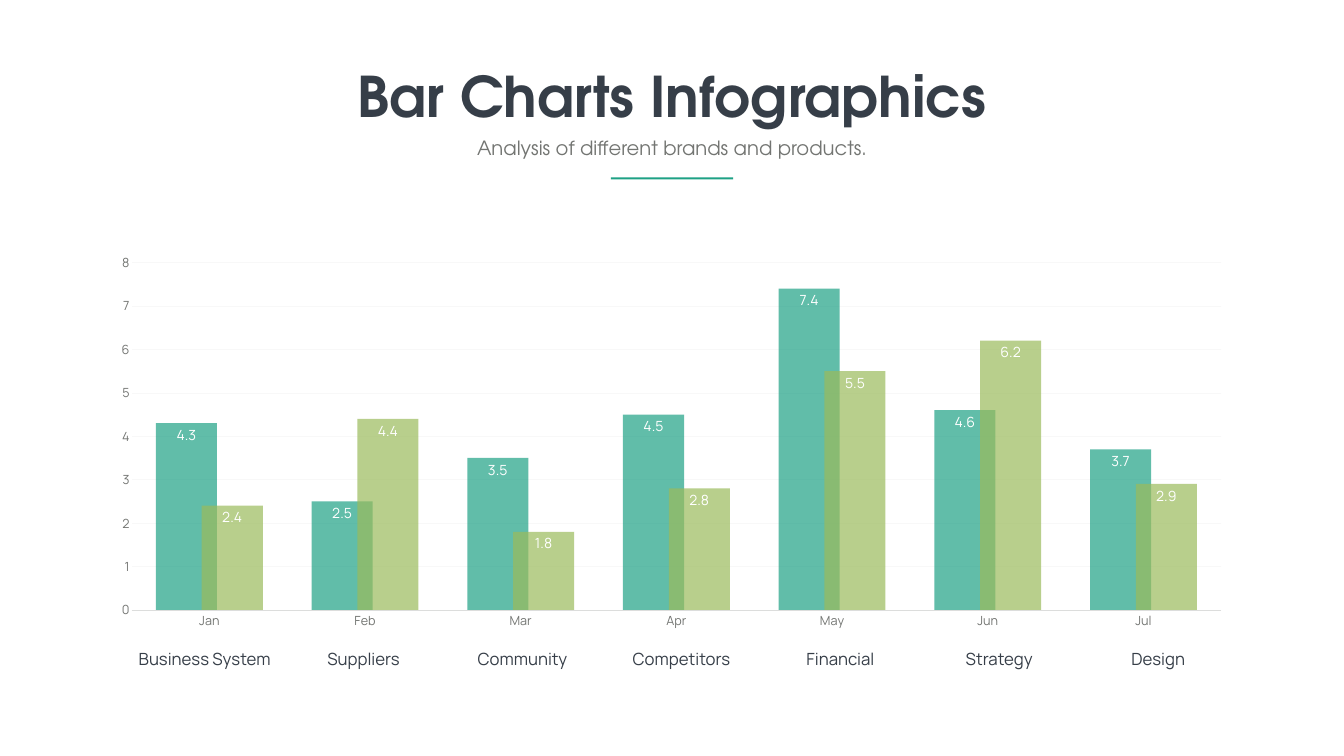
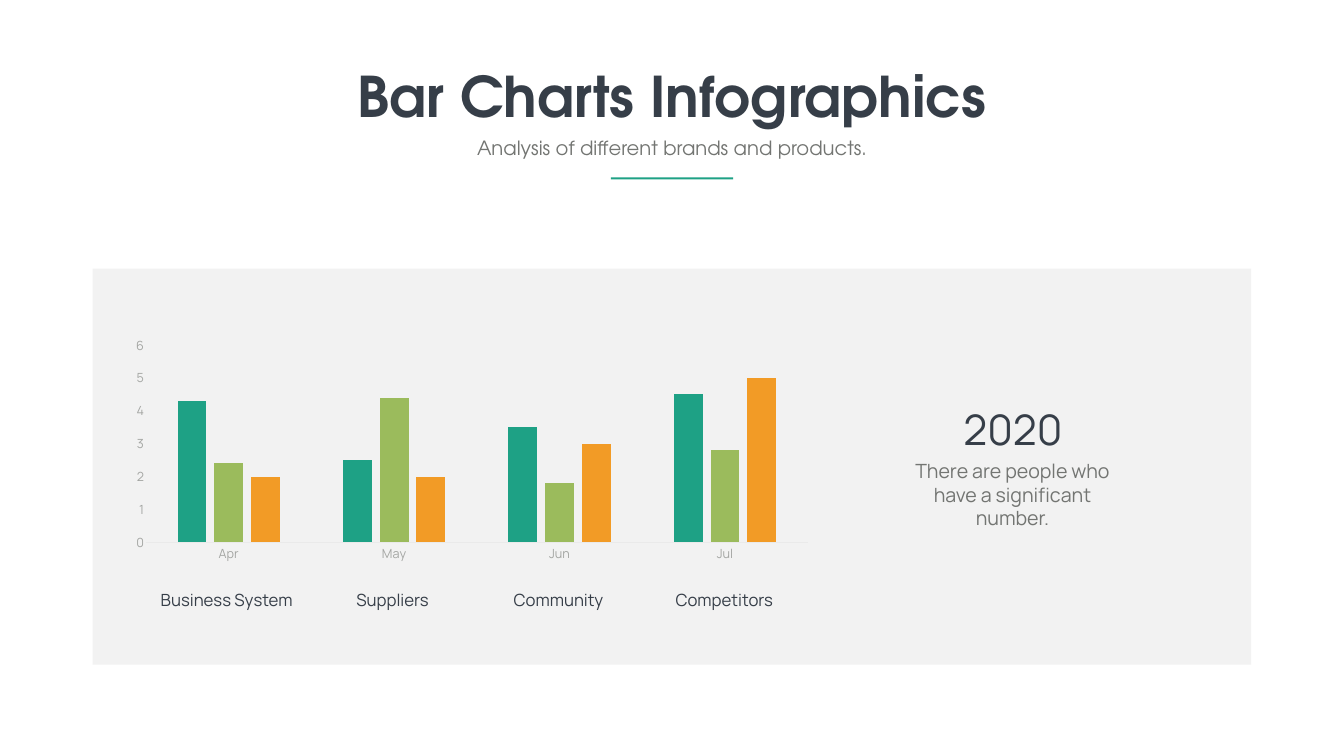
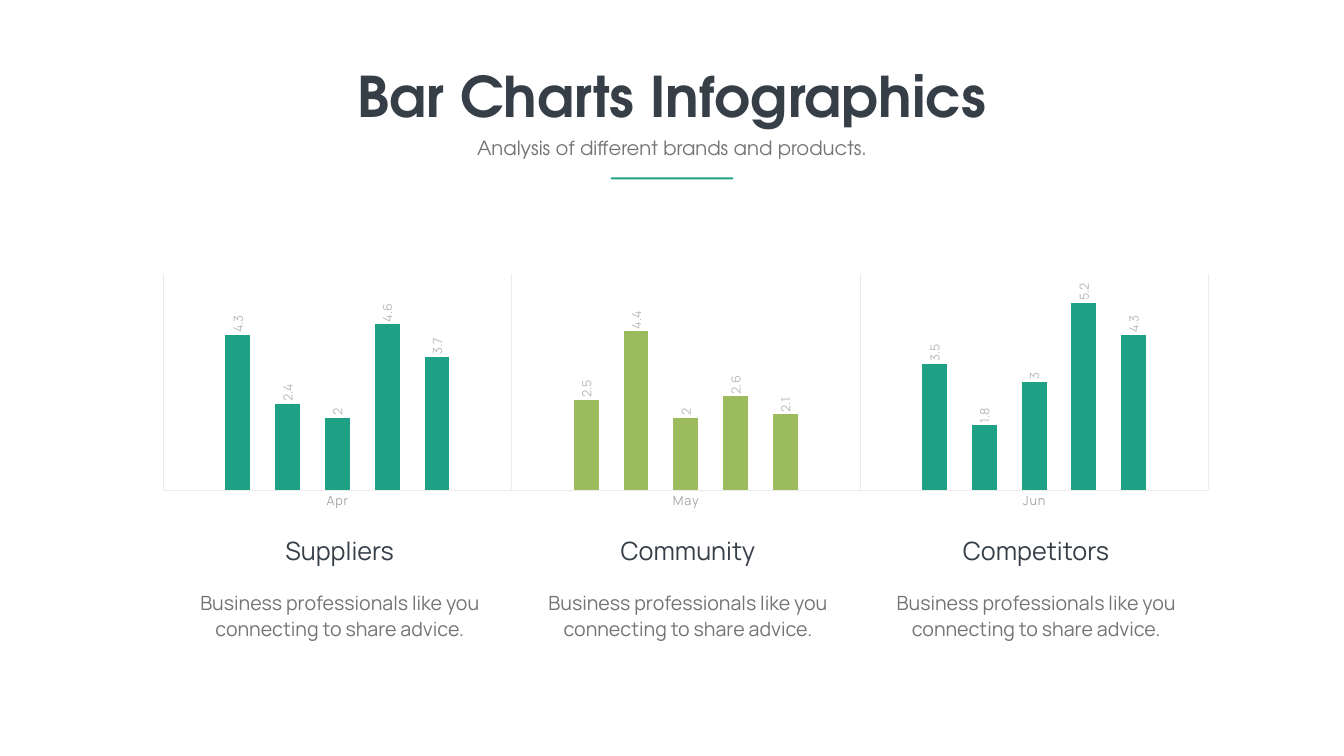
from lxml.etree import SubElement
from pptx import Presentation
from pptx.chart.data import CategoryChartData
from pptx.dml.color import RGBColor
from pptx.enum.chart import XL_CHART_TYPE as ChartType
from pptx.enum.chart import XL_LABEL_POSITION as LabelPosition
from pptx.enum.chart import XL_TICK_MARK as TickMark
from pptx.enum.shapes import MSO_SHAPE as Shape
from pptx.enum.text import MSO_AUTO_SIZE as AutoSize
from pptx.enum.text import PP_ALIGN as Align
from pptx.oxml.ns import qn
from pptx.util import Cm, Pt

PAGE_WIDTH, PAGE_HEIGHT = 67.74, 38.1
TITLE_FONT, BODY_FONT = "TeX Gyre Adventor", "Manrope"
TEAL, GREEN, ORANGE = "1EA185", "9BBB5C", "F29B26"
DARK, GREY, PALE, FAINT = "363E48", "737572", "A4A6A3", "B9BAB8"
WHITE, PANEL, HAIRLINE = "FFFFFF", "F2F2F2", "EAEAEA"
INNER_PLOT = {"x": 0.071, "y": 0.149, "w": 0.882, "h": 0.673}

TITLE = {"name": TITLE_FONT, "size": Pt(80), "bold": True}
SUBTITLE = {"name": TITLE_FONT, "size": Pt(28)}
CAPTION = {"name": BODY_FONT, "size": Pt(24)}
HEADING = {"name": BODY_FONT, "size": Pt(36)}
FIGURE = {"name": BODY_FONT, "size": Pt(60)}
BODY = {"name": BODY_FONT, "size": Pt(28)}
AXIS = {"name": BODY_FONT, "size": Pt(18)}
BAR_LABEL = {"name": BODY_FONT, "size": Pt(20)}


def rgb(value):
    return RGBColor.from_string(value)


def set_font(font, style, color):
    for name, value in style.items():
        setattr(font, name, value)
    font.color.rgb = rgb(color)


def set_line(line, color, width=0.75):
    line.color.rgb = rgb(color)
    line.width = Pt(width)


def add_text(page, box, text, style, color, wrap=True, spacing=None):
    shape = page.shapes.add_textbox(*map(Cm, box))
    frame = shape.text_frame
    frame.word_wrap = wrap
    frame.auto_size = AutoSize.SHAPE_TO_FIT_TEXT
    para = frame.paragraphs[0]
    para.alignment = Align.CENTER
    para.line_spacing = spacing
    span = para.add_run()
    span.text = text
    set_font(span.font, style, color)


def add_row(page, left, top, pitch, size, texts, style, color, spacing=None):
    for index, text in enumerate(texts):
        box = (left + index * pitch, top, *size)
        add_text(page, box, text, style, color, spacing=spacing)


def add_block(page, box, color):
    shape = page.shapes.add_shape(Shape.RECTANGLE, *map(Cm, box))
    shape.shadow.inherit = False
    shape.fill.solid()
    shape.fill.fore_color.rgb = rgb(color)
    shape.line.fill.background()


def add_header(page):
    def centred(top, width, height):
        return (PAGE_WIDTH - width) / 2, top, width, height

    add_text(page, centred(2.97, 32.56, 3.68), "Bar Charts Infographics", TITLE, DARK, wrap=False)
    add_text(page, centred(6.73, 24.28, 1.45), "Analysis of different brands and products.", SUBTITLE, GREY)
    add_block(page, centred(8.94, 6.17, 0.1), TEAL)


# Chart parts
def add_columns(page, box, categories, rows, colors, gap, overlap):
    data = CategoryChartData()
    data.categories = categories
    for number, values in enumerate(rows, 1):
        data.add_series(f"Series {number}", values)
    chart = page.shapes.add_chart(ChartType.COLUMN_CLUSTERED, *map(Cm, box), data).chart
    chart.has_title = chart.has_legend = False
    set_font(chart.font, AXIS, GREY)
    plot = chart.plots[0]
    plot.vary_by_categories = False
    plot.gap_width, plot.overlap = gap, overlap
    for series, color in zip(plot.series, colors):
        series.invert_if_negative = False
        series.format.fill.solid()
        series.format.fill.fore_color.rgb = rgb(color)
    return chart


def style_axes(chart, maximum, text_color, line_color, line_width=0.75, grid_color=None):
    category, value = chart.category_axis, chart.value_axis
    for axis in (category, value):
        axis.major_tick_mark = axis.minor_tick_mark = TickMark.NONE
        set_font(axis.tick_labels.font, AXIS, text_color)
    set_line(category.format.line, line_color, line_width)
    value.minimum_scale, value.maximum_scale, value.major_unit = 0, maximum, 1
    value.format.line.fill.background()
    value.has_major_gridlines = grid_color is not None
    if grid_color:
        set_line(value.major_gridlines.format.line, grid_color)


def fix_plot_area(chart):
    area = chart._chartSpace.chart.plotArea
    for old in area.findall(qn("c:layout")):
        area.remove(old)
    layout = SubElement(area, qn("c:layout"))
    area.insert(0, layout)
    manual = SubElement(layout, qn("c:manualLayout"))
    settings = {"layoutTarget": "inner", "xMode": "edge", "yMode": "edge", **INNER_PLOT}
    for name, value in settings.items():
        SubElement(manual, qn(f"c:{name}")).set("val", str(value))


def label_series(series, position, style, color, rotation=None):
    labels = series.data_labels
    labels.show_value = True
    labels.position = position
    set_font(labels.font, style, color)
    if rotation is not None:
        body = labels._element.find(qn("c:txPr")).find(qn("a:bodyPr"))
        body.set("rot", str(rotation * 60000))
        body.set("vert", "horz")


def set_opacity(series, percent):
    for color in series.format.fill._xPr.iter(qn("a:srgbClr")):
        SubElement(color, qn("a:alpha")).set("val", str(percent * 1000))


# Overlapping translucent columns with a caption under each month
def fill_overlap_page(page, box):
    left, top = box[:2]
    rows = [(4.3, 2.5, 3.5, 4.5, 7.4, 4.6, 3.7), (2.4, 4.4, 1.8, 2.8, 5.5, 6.2, 2.9)]
    months = ["Jan", "Feb", "Mar", "Apr", "May", "Jun", "Jul"]
    chart = add_columns(page, box, months, rows, [TEAL, GREEN], 80, 25)
    style_axes(chart, 8, GREY, "DCDDDC", 1.25, "F8F8F8")
    for series in chart.plots[0].series:
        set_opacity(series, 70)
        label_series(series, LabelPosition.INSIDE_END, BAR_LABEL, WHITE)
    captions = ["Business System", "Suppliers", "Community", "Competitors",
                "Financial", "Strategy", "Design"]
    add_row(page, left + 1.73, top + 20.19, 8.01, (7.21, 1.27), captions, CAPTION, DARK)


# Grey panel: columns on the left, key figure on the right
def fill_panel_page(page, box):
    left, top = box[:2]
    add_block(page, box, PANEL)
    add_text(page, (left + 41.71, top + 6.65, 9.35, 2.82), "2020", FIGURE, DARK)
    add_text(page, (left + 40.9, top + 9.47, 10.92, 3.84),
             "There are people who have a significant number.", BODY, GREY)
    rows = [(4.3, 2.5, 3.5, 4.5), (2.4, 4.4, 1.8, 2.8), (2, 2, 3, 5)]
    chart = add_columns(page, (left, top + 1.65, 37.82, 14.78), ["Apr", "May", "Jun", "Jul"],
                        rows, [TEAL, GREEN, ORANGE], 219, -27)
    style_axes(chart, 6, PALE, HAIRLINE, grid_color=PANEL)
    fix_plot_area(chart)
    captions = ["Business System", "Suppliers", "Community", "Competitors"]
    add_row(page, left + 3.15, top + 16.03, 8.36, (7.21, 1.27), captions, CAPTION, DARK)


# Three months, each in one colour, with a heading and a note
def fill_months_page(page, box):
    left, top = box[:2]
    rows = [(4.3, 2.5, 3.5), (2.4, 4.4, 1.8), (2, 2, 3), (4.6, 2.6, 5.2), (3.7, 2.1, 4.3)]
    series_colors = [TEAL, GREEN, TEAL, TEAL, TEAL]
    chart = add_columns(page, box, ["Apr", "May", "Jun"], rows, series_colors, 500, -100)
    style_axes(chart, 6, PALE, HAIRLINE)
    fix_plot_area(chart)
    chart.value_axis.visible = False
    months = chart.category_axis
    months.has_major_gridlines = True
    set_line(months.major_gridlines.format.line, HAIRLINE)
    months.tick_labels.font._element.set("spc", "120")
    for series, base in zip(chart.plots[0].series, series_colors):
        for index, color in enumerate([TEAL, GREEN, TEAL]):
            if color != base:
                fill = series.points[index].format.fill
                fill.solid()
                fill.fore_color.rgb = rgb(color)
        label_series(series, LabelPosition.OUTSIDE_END, AXIS, FAINT, rotation=-90)
    headings = ["Suppliers", "Community", "Competitors"]
    notes = ["Business professionals like you connecting to share advice."] * len(headings)
    add_row(page, left + 7.34, top + 15.47, 17.55, (11.58, 1.8), headings, HEADING, DARK)
    add_row(page, left + 5.31, top + 18.19, 17.55, (15.65, 2.87), notes, BODY, GREY, Pt(36.6))


def main():
    deck = Presentation()
    deck.slide_width, deck.slide_height = Cm(PAGE_WIDTH), Cm(PAGE_HEIGHT)
    pages = [
        (fill_overlap_page, (4.98, 12.4, 57.73, 19.71)),
        (fill_panel_page, (4.67, 13.54, 58.39, 19.96)),
        (fill_months_page, (3.99, 11.38, 59.72, 16.21)),
    ]
    for fill_page, box in pages:
        page = deck.slides.add_slide(deck.slide_layouts[6])
        fill_page(page, box)
        add_header(page)
    deck.save("out.pptx")


if __name__ == "__main__":
    main()
